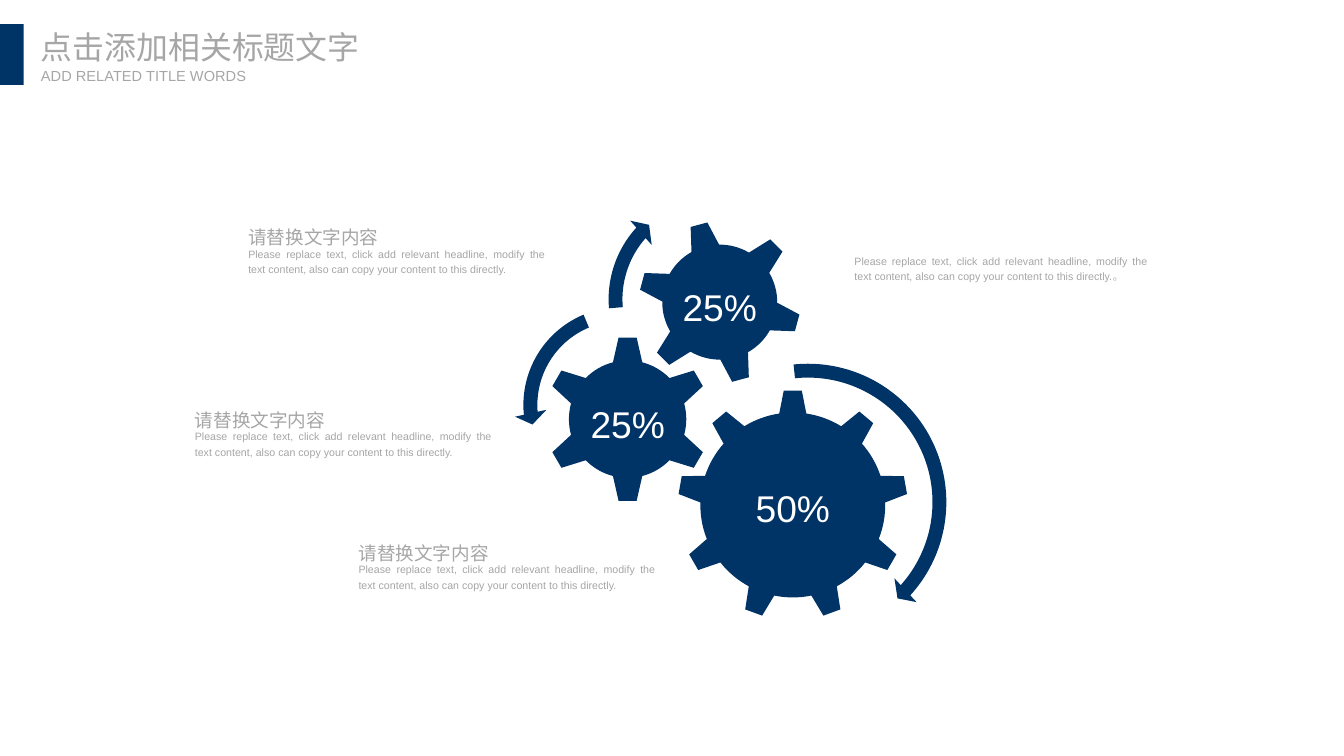
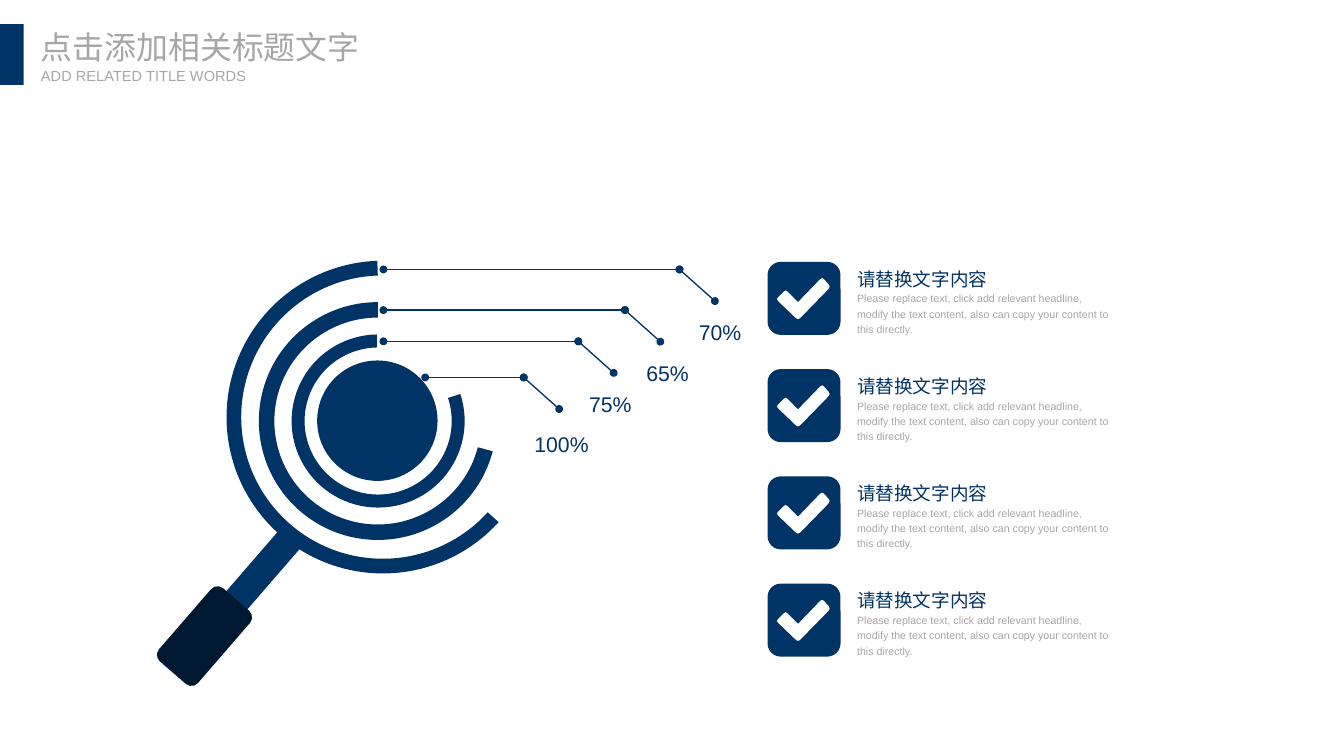
import dataclasses
import math
import typing

import lxml.etree
import pptx
import pptx.dml.color
import pptx.enum.shapes
import pptx.enum.text
import pptx.oxml.ns
import pptx.shapes.autoshape
import pptx.slide
import pptx.text.text
import pptx.util

Cm = pptx.util.Cm
RGB = pptx.dml.color.RGBColor
Preset = pptx.enum.shapes.MSO_SHAPE
Align = pptx.enum.text.PP_ALIGN
Anchor = pptx.enum.text.MSO_ANCHOR
Point = tuple[float, float]
Box = tuple[float, float, float, float]


@dataclasses.dataclass(frozen=True)
class Theme:
    navy: RGB = RGB(0x00, 0x33, 0x66)
    dark_navy: RGB = RGB(0x00, 0x19, 0x33)
    grey: RGB = RGB(0xA6, 0xA6, 0xA6)
    white: RGB = RGB(0xFF, 0xFF, 0xFF)
    font: str = "Arial"
    title_font: str = "Noto Sans CJK SC"
    title_size: float = 24
    subtitle_size: float = 11
    heading_size: float = 14
    body_size: float = 8
    gear_size: float = 28
    label_size: float = 16
    spacing: float = 1.2


THEME = Theme()
HEADING = "请替换文字内容"
BODY = (
    "Please replace text, click add relevant headline, modify the text content, "
    "also can copy your content to this directly."
)


class Gear(typing.NamedTuple):
    """A wheel whose teeth narrow from root to tip; widths are half widths."""

    share: str
    center: Point
    teeth: int
    root: Point  # half width, distance from the centre
    tip: Point
    turn: float = 0


class Preformed(typing.NamedTuple):
    kind: Preset
    box: Box
    adjustments: tuple[float, ...] = ()
    rotation: float = 0
    color: RGB = THEME.navy


class Leader(typing.NamedTuple):
    share: str
    start: Point
    elbow_x: float
    label: Point
    label_width: float = 1.14


GEARS = (
    Gear("50%", (21.07, 13.42), 9, root=(0.36, 2.43), tip=(0.24, 3.04)),
    Gear("25%", (16.68, 11.14), 6, root=(0.39, 1.51), tip=(0.24, 2.17)),
    Gear("25%", (19.13, 8.03), 6, root=(0.38, 1.48), tip=(0.23, 2.13), turn=-15),
)
TURN_ARROWS = (
    Preformed(Preset.CIRCULAR_ARROW, (17.55, 9.42, 7.85, 7.85),
              (0.047, 2.99, 25.254, 158.416, 0.055)),
    Preformed(Preset.LEFT_CIRCULAR_ARROW, (13.67, 7.92, 5.69, 5.69),
              (0.065, 4.3, 104.891, 148.378, 0.075)),
    Preformed(Preset.CIRCULAR_ARROW, (15.93, 4.88, 6.15, 6.15),
              (0.06, 3.941, 133.138, 105.082, 0.07)),
)
GEAR_CAPTIONS: tuple[Point, ...] = ((6.6, 5.89), (5.18, 10.75), (9.53, 14.28))

MAGNIFIER = (
    Preformed(Preset.BLOCK_ARC, (6.88, 8.03, 6.32, 6.32), (197.825, 135.073, 0.065), 45),
    Preformed(Preset.RECTANGLE, (6.43, 13.77, 0.74, 3.2), rotation=40.9),
    Preformed(Preset.ROUNDED_RECTANGLE, (4.75, 15.62, 1.37, 2.57),
              rotation=40.9, color=THEME.dark_navy),
    Preformed(Preset.BLOCK_ARC, (6.02, 6.93, 8.31, 8.31), (214.334, 133.782, 0.047), 45),
    Preformed(Preset.BLOCK_ARC, (7.75, 8.89, 4.6, 4.6), (178.059, 134.448, 0.075), 45),
    Preformed(Preset.OVAL, (8.43, 9.58, 3.2, 3.2)),
)
LEADERS = (
    Leader("70%", (10.19, 7.16), 18.06, (18.57, 8.43)),
    Leader("65%", (10.19, 8.24), 16.61, (17.17, 9.5)),
    Leader("75%", (10.19, 9.07), 15.37, (15.65, 10.34)),
    Leader("100%", (11.3, 10.03), 13.92, (14.2, 11.4), 1.45),
)
LEADER_DROP: Point = (0.94, 0.84)

CHECK_COUNT = 4
CHECK_LEFT, CHECK_TOP, CHECK_PITCH, CHECK_SIDE = 20.4, 6.96, 2.85, 1.94
TICK: tuple[Point, ...] = (
    (1.63, 0.71), (1.65, 0.66), (1.63, 0.61), (1.5, 0.46), (1.45, 0.43), (1.4, 0.46),
    (0.81, 1.07), (0.53, 0.79), (0.48, 0.76), (0.43, 0.79), (0.28, 0.94), (0.25, 0.99),
    (0.28, 1.04), (0.76, 1.5), (0.81, 1.52), (0.86, 1.5),
)


def write(
    frame: pptx.text.text.TextFrame,
    text: str,
    *,
    size: float,
    color: RGB,
    font: str = THEME.font,
    align: Align = Align.LEFT,
    anchor: Anchor = Anchor.TOP,
    spacing: float | None = THEME.spacing,
    wrap: bool = True,
) -> None:
    frame.margin_left = frame.margin_right = frame.margin_top = frame.margin_bottom = 0
    frame.word_wrap = wrap
    frame.vertical_anchor = anchor
    paragraph = frame.paragraphs[0]
    paragraph.alignment = align
    if spacing:
        paragraph.line_spacing = spacing
    run = paragraph.add_run()
    run.text = text
    run.font.size = pptx.util.Pt(size)
    run.font.name = font
    run.font.color.rgb = color


def add_text(slide: pptx.slide.Slide, box: Box, text: str, **formats: typing.Any) -> None:
    frame = slide.shapes.add_textbox(*map(Cm, box)).text_frame
    write(frame, text, **formats)
    frame.auto_size = pptx.enum.text.MSO_AUTO_SIZE.SHAPE_TO_FIT_TEXT


def paint(shape: pptx.shapes.autoshape.Shape, color: RGB) -> None:
    shape.shadow.inherit = False
    shape.fill.solid()
    shape.fill.fore_color.rgb = color
    shape.line.fill.background()


def add_preformed(slide: pptx.slide.Slide, part: Preformed) -> None:
    shape = slide.shapes.add_shape(part.kind, *map(Cm, part.box))
    for index, value in enumerate(part.adjustments):
        shape.adjustments[index] = value
    shape.rotation = part.rotation
    paint(shape, part.color)


def add_outline(
    slide: pptx.slide.Slide, points: typing.Sequence[Point], color: RGB
) -> pptx.shapes.autoshape.Shape:
    corners = [(Cm(x), Cm(y)) for x, y in points]
    builder = slide.shapes.build_freeform(*corners[0])
    builder.add_line_segments(corners[1:], close=True)
    shape = builder.convert_to_shape()
    paint(shape, color)
    return shape


def gear_points(gear: Gear, arc_steps: int = 8) -> list[Point]:
    """Go clockwise round the wheel: one tooth, then the rim up to the next."""
    (root_half, root_far), (tip_half, tip_far) = gear.root, gear.tip
    rim = math.hypot(root_half, root_far)
    root_angle = math.atan2(root_half, root_far)
    pitch = math.tau / gear.teeth
    tooth = [(-root_half, root_far), (-tip_half, tip_far), (tip_half, tip_far)]
    for step in range(arc_steps):
        angle = root_angle + (pitch - 2 * root_angle) * step / arc_steps
        tooth.append((rim * math.sin(angle), rim * math.cos(angle)))
    center_x, center_y = gear.center
    points = []
    for index in range(gear.teeth):
        turn = math.radians(gear.turn) + index * pitch
        sin, cos = math.sin(turn), math.cos(turn)
        points += [
            (center_x + across * cos + far * sin, center_y + across * sin - far * cos)
            for across, far in tooth
        ]
    return points


def add_dotted_line(slide: pptx.slide.Slide, start: Point, end: Point) -> None:
    """Draw a straight line with a round dot at each end."""
    line = slide.shapes.add_connector(
        pptx.enum.shapes.MSO_CONNECTOR.STRAIGHT, *map(Cm, (*start, *end))
    )
    line.line.color.rgb = THEME.navy
    line.line.width = pptx.util.Pt(1)
    qn = pptx.oxml.ns.qn
    properties = line._element.spPr
    outline = properties.find(qn("a:ln"))
    for tag in ("a:headEnd", "a:tailEnd"):
        lxml.etree.SubElement(outline, qn(tag), type="oval")
    lxml.etree.SubElement(properties, qn("a:effectLst"))


def add_header(slide: pptx.slide.Slide) -> None:
    add_preformed(slide, Preformed(Preset.RECTANGLE, (0, 0.64, 0.63, 1.62)))
    add_text(slide, (1.09, 0.74, 8.56, 1.02), "点击添加相关标题文字", size=THEME.title_size,
             color=THEME.grey, font=THEME.title_font, spacing=None, wrap=False)
    add_text(slide, (1.09, 1.78, 5.54, 0.48), "ADD RELATED TITLE WORDS",
             size=THEME.subtitle_size, color=THEME.grey, spacing=None, wrap=False)


def build_gears(slide: pptx.slide.Slide) -> None:
    for gear in GEARS:
        wheel = add_outline(slide, gear_points(gear), THEME.navy)
        write(wheel.text_frame, gear.share, size=THEME.gear_size, color=THEME.white,
              align=Align.CENTER, anchor=Anchor.MIDDLE)
    for arrow in TURN_ARROWS:
        add_preformed(slide, arrow)
    body_format = dict(size=THEME.body_size, color=THEME.grey, align=Align.JUSTIFY)
    for left, top in GEAR_CAPTIONS:
        add_text(slide, (left, top, 5.26, 0.71), HEADING, size=THEME.heading_size,
                 color=THEME.grey, align=Align.JUSTIFY)
        add_text(slide, (left, top + 0.62, 7.9, 0.79), BODY, **body_format)
    add_text(slide, (22.71, 6.7, 7.8, 0.79), BODY + "。", **body_format)


def add_leader(slide: pptx.slide.Slide, leader: Leader) -> None:
    elbow = (leader.elbow_x, leader.start[1])
    end = (elbow[0] + LEADER_DROP[0], elbow[1] + LEADER_DROP[1])
    add_dotted_line(slide, leader.start, elbow)
    add_dotted_line(slide, elbow, end)
    add_text(slide, (*leader.label, leader.label_width, 0.74), leader.share,
             size=THEME.label_size, color=THEME.navy, align=Align.CENTER,
             anchor=Anchor.BOTTOM, wrap=False)


def add_check_item(slide: pptx.slide.Slide, top: float) -> None:
    tile = (CHECK_LEFT, top, CHECK_SIDE, CHECK_SIDE)
    add_preformed(slide, Preformed(Preset.ROUNDED_RECTANGLE, tile, (0.18,)))
    add_outline(slide, [(CHECK_LEFT + x, top + y) for x, y in TICK], THEME.white)
    text_left = CHECK_LEFT + 2.38
    add_text(slide, (text_left, top + 0.03, 3.48, 0.66), HEADING,
             size=THEME.heading_size, color=THEME.navy, wrap=False)
    add_text(slide, (text_left, top + 0.74, 6.86, 1.22), BODY,
             size=THEME.body_size, color=THEME.grey)


def build_magnifier(slide: pptx.slide.Slide) -> None:
    for part in MAGNIFIER:
        add_preformed(slide, part)
    for leader in LEADERS:
        add_leader(slide, leader)
    for row in range(CHECK_COUNT):
        add_check_item(slide, CHECK_TOP + row * CHECK_PITCH)


def main() -> None:
    deck = pptx.Presentation()
    deck.slide_width, deck.slide_height = Cm(35.72), Cm(20.09)
    for build in (build_gears, build_magnifier):
        slide = deck.slides.add_slide(deck.slide_layouts[6])
        build(slide)
        add_header(slide)
    deck.save("out.pptx")


if __name__ == "__main__":
    main()
